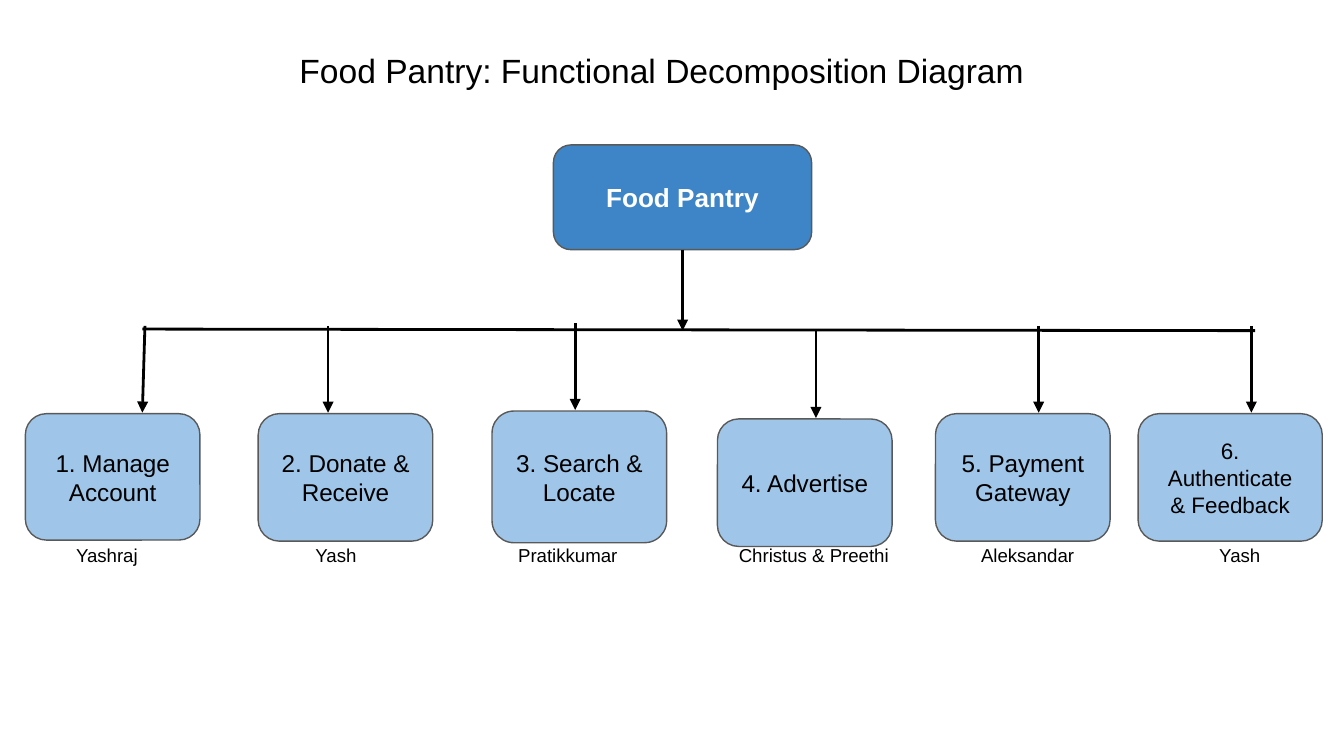
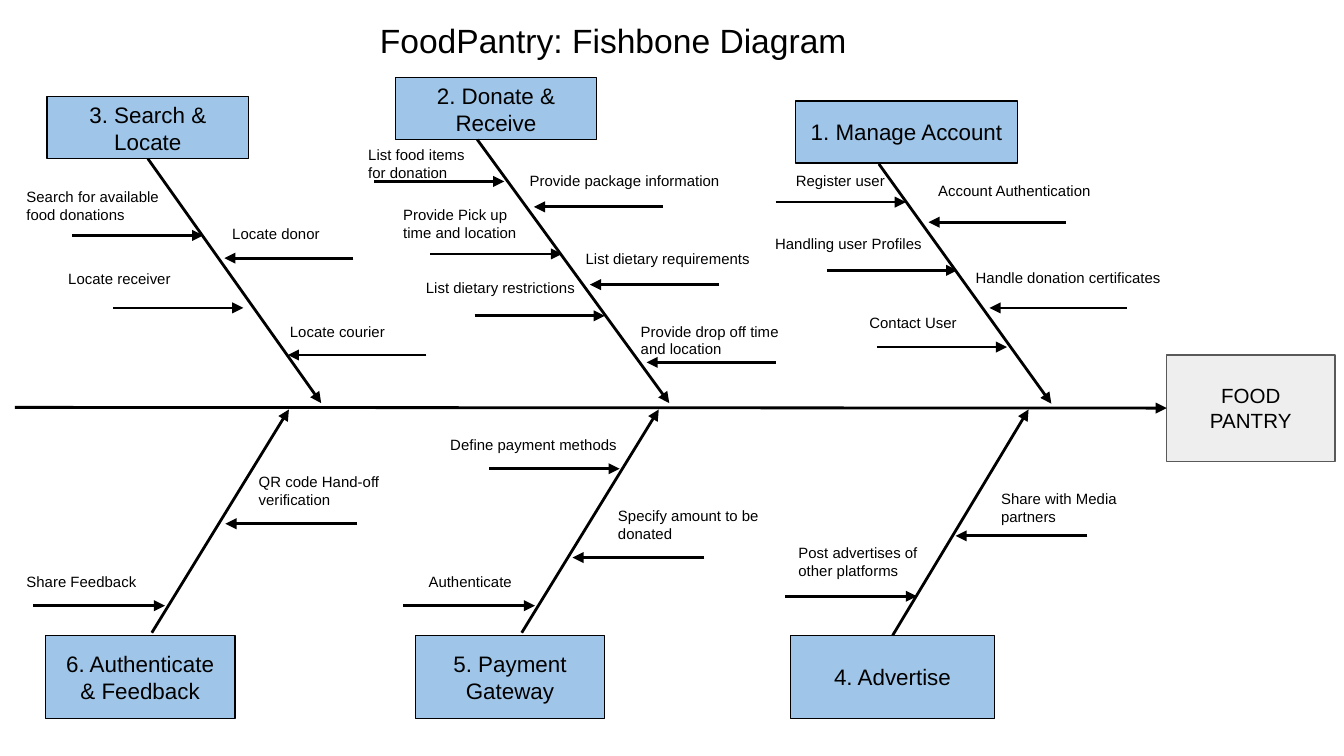
from lxml import etree
from pptx import Presentation
from pptx import util as u
from pptx.dml.color import RGBColor
from pptx.enum import shapes, text
from pptx.oxml import ns

COLORS = {
    "ink": "000000",
    "white": "FFFFFF",
    "root": "3D85C6",
    "function": "9FC5E8",
    "goal": "EEEEEE",
    "outline": "595959",
}
FONT = "Arial"
INSET = 0.25
OWNER_TOP = 10.06
CENTER = text.PP_ALIGN.CENTER
LEFT = text.PP_ALIGN.LEFT
RECTANGLE = shapes.MSO_SHAPE.RECTANGLE
ROUNDED = shapes.MSO_SHAPE.ROUNDED_RECTANGLE

# name, size, box, arrow start and end x in the box, owner, owner x in the box, owner width
FUNCTIONS = [
    ("1. Manage Account", 13, (0.48, 7.82, 3.3, 2.39), 2.26, 2.21, "Yashraj", -0.2, 3.48),
    ("2. Donate & Receive", 13, (4.88, 7.82, 3.3, 2.41), 1.32, 1.32, "Yash", -0.46, 3.86),
    ("3. Search & Locate", 13, (9.3, 7.77, 3.3, 2.49), 1.57, 1.57, "Pratikkumar", -0.31, 3.48),
    ("4. Advertise", 13, (13.56, 7.92, 3.3, 2.41), 1.86, 1.86, "Christus & Preethi", 0.08, 3.48),
    ("5. Payment Gateway", 13, (17.68, 7.82, 3.3, 2.41), 1.95, 1.95, "Aleksandar", 0, 3.48),
    ("6. Authenticate & Feedback", 12, (21.51, 7.82, 3.48, 2.41), 2.14, 2.14, "Yash", 0.18, 3.48),
]

# name, box, bone start (None joins the box), bone end, causes;
# a cause is its text, its text box, and its arrow tip with the signed distance to the tail
BRANCHES = [
    ("3. Search & Locate", (0.89, 1.83, 3.81, 1.17), None, (5.18, 5.79), [
        ("Search for available food donations", (-0.64, 1.47, 3.25, 1.19), (2.95, 2.62, -2.48)),
        ("Locate donor", (3.25, 2.24, 4.19, 0.86), (3.35, 3.05, 2.44)),
        ("Locate receiver", (0.15, 3.1, 4.19, 0.86), (3.71, 3.99, -2.46)),
        ("Locate courier", (4.34, 4.09, 4.19, 0.86), (4.55, 4.88, 2.62)),
    ]),
    ("2. Donate & Receive", (7.47, 1.47, 3.81, 1.17), (1.55, 1.17), (5.18, 6.15), [
        ("List food items for donation", (-0.76, 1.04, 2.72, 1.19), (2.06, 1.96, -2.46)),
        ("Provide package information", (2.29, 1.6, 4.19, 1.22), (2.62, 2.44, 2.44)),
        ("Provide Pick up time and location", (-0.1, 2.16, 2.72, 1.19), (3.15, 3.33, -2.49)),
        ("List dietary requirements", (3.35, 3.07, 4.19, 1.22), (3.68, 3.91, 2.44)),
        ("List dietary restrictions", (0.33, 3.63, 4.19, 1.19), (3.96, 4.5, -2.46)),
        ("Provide drop off time and location", (4.39, 4.37, 3.58, 1.22), (4.75, 5.38, 2.44)),
    ]),
    ("1. Manage Account", (15.04, 1.91, 4.19, 1.17), (1.57, 1.19), (4.83, 5.72), [
        ("Register user", (-0.25, 1.17, 3.38, 0.86), (2.08, 1.91, -2.46)),
        ("Account Authentication", (2.44, 1.35, 3.86, 0.86), (2.51, 2.29, 2.59)),
        ("Handling user Profiles", (-0.64, 2.36, 4.19, 0.86), (3.05, 3.2, -2.46)),
        ("Handle donation certificates", (3.15, 3, 5.59, 0.86), (3.66, 3.91, 2.59)),
        ("Contact User", (1.14, 3.84, 3.05, 0.86), (3.99, 4.65, -2.46)),
    ]),
    ("6. Authenticate & Feedback", (0.86, 12.01, 3.58, 1.57), (2.01, -0.05), (4.6, -4.27), [
        ("QR code Hand-off verification", (3.78, -3.33, 3.63, 1.22), (3.4, -2.11, 2.49)),
        ("Share Feedback", (-0.61, -1.35, 3.63, 1.22), (2.26, -0.56, -2.49)),
    ]),
    ("5. Payment Gateway", (7.85, 12.01, 3.58, 1.57), (2.01, -0.05), (4.6, -4.27), [
        ("Define payment methods", (0.41, -3.94, 4.19, 1.22), (3.86, -3.15, -2.46)),
        ("Specify amount to be donated", (3.58, -2.69, 3.25, 1.22), (2.97, -1.47, 2.49)),
        ("Authenticate", (0, -1.35, 3.25, 1.22), (2.26, -0.56, -2.49)),
    ]),
    ("4. Advertise", (14.94, 12.01, 3.86, 1.57), None, (4.5, -4.27), [
        ("Post advertises of other platforms", (-0.1, -1.98, 3.25, 1.22), (2.39, -0.74, -2.49)),
        ("Share with Media partners", (3.73, -3, 3.25, 1.22), (3.12, -1.88, 2.49)),
    ]),
]


def rgb(name):
    """Return the named colour."""
    return RGBColor.from_string(COLORS[name])


def set_all(target, values):
    """Set each attribute of the target from a dict."""
    for name, value in values.items():
        setattr(target, name, value)


def cm(values):
    """Turn numbers into lengths."""
    return [u.Cm(value) for value in values]


def write(shape, words, size, align, anchor, color="ink", bold=False, inset_y=INSET):
    """Put one formatted paragraph in a shape."""
    frame = shape.text_frame
    set_all(frame, {
        "word_wrap": True, "vertical_anchor": anchor,
        "margin_left": u.Cm(INSET), "margin_right": u.Cm(INSET),
        "margin_top": u.Cm(inset_y), "margin_bottom": u.Cm(inset_y),
    })
    paragraph = frame.paragraphs[0]
    paragraph.text = words
    paragraph.alignment = align
    set_all(paragraph.font, {"name": FONT, "size": u.Pt(size), "bold": bold})
    paragraph.font.color.rgb = rgb(color)


def add_title(slide, words, box):
    """Move and format the title placeholder."""
    title = slide.shapes.title
    set_all(title, dict(zip(("left", "top", "width", "height"), cm(box))))
    write(title, words, 18, LEFT, text.MSO_ANCHOR.TOP, inset_y=0.13)
    title.text_frame.auto_size = text.MSO_AUTO_SIZE.SHAPE_TO_FIT_TEXT


def add_box(slide, kind, box, words, size, fill, outline="outline", **style):
    """Add a filled box with centred text."""
    shape = slide.shapes.add_shape(kind, *cm(box))
    shape.shadow.inherit = False
    shape.fill.solid()
    shape.fill.fore_color.rgb = rgb(fill)
    shape.line.color.rgb = rgb(outline)
    shape.line.width = u.Pt(0.75)
    write(shape, words, size, CENTER, text.MSO_ANCHOR.MIDDLE, **style)
    return shape


def add_label(slide, box, words, size, align=LEFT):
    """Add plain text."""
    label = slide.shapes.add_textbox(*cm(box))
    write(label, words, size, align, text.MSO_ANCHOR.TOP)


def add_line(slide, start, end, arrow=True):
    """Add a black line, with an arrowhead at its end if wanted."""
    line = slide.shapes.add_connector(shapes.MSO_CONNECTOR.STRAIGHT, *cm(start + end))
    line.line.color.rgb = rgb("ink")
    line.line.width = u.Pt(1.5)
    properties = line._element.spPr
    if arrow:
        stroke = properties.find(ns.qn("a:ln"))
        etree.SubElement(stroke, ns.qn("a:tailEnd"), type="triangle")
    etree.SubElement(properties, ns.qn("a:effectLst"))
    return line


def add_function(slide, name, size, box, start_x, end_x, owner, owner_x, owner_width):
    """Add a function box with the arrow above it and its owner below."""
    left, top = box[:2]
    add_box(slide, ROUNDED, box, name, size, "function")
    add_line(slide, (left + start_x, top - 1.66), (left + end_x, top - 0.02))
    add_label(slide, (left + owner_x, OWNER_TOP, owner_width, 0.81), owner, 10, CENTER)


def add_branch(slide, name, box, start, end, causes):
    """Add a category box, its bone and the causes along it."""
    left, top = box[:2]

    def place(x, y):
        """Shift a point from the box to the slide."""
        return left + x, top + y

    category = add_box(slide, RECTANGLE, box, name, 12, "function", "ink")
    bone = add_line(slide, place(*(start or (0, 0))), place(*end))
    if start is None:
        bone.begin_connect(category, 2 if end[1] > 0 else 0)
    for words, (x, y, width, height), (tip_x, tip_y, length) in causes:
        add_line(slide, place(tip_x + length, tip_y), place(tip_x, tip_y))
        add_label(slide, place(x, y) + (width, height), words, 8)


def build_decomposition(slide):
    """Build the functional decomposition slide."""
    add_title(slide, "Food Pantry: Functional Decomposition Diagram", (5.41, 0.81, 14.33, 1.02))
    root = add_box(slide, ROUNDED, (10.46, 2.74, 4.88, 1.98), "Food Pantry", 14, "root",
                   color="white", bold=True)
    add_line(slide, (12.9, 4.72), (12.9, 6.25)).begin_connect(root, 2)
    add_line(slide, (2.69, 6.22), (23.72, 6.25), arrow=False)
    for function in FUNCTIONS:
        add_function(slide, *function)


def build_fishbone(slide):
    """Build the fishbone slide."""
    add_title(slide, "FoodPantry: Fishbone Diagram", (6.93, 0.25, 10.24, 1.02))
    goal = add_box(slide, RECTANGLE, (22.05, 6.71, 3.18, 2.01), "FOOD PANTRY", 11, "goal")
    add_line(slide, (0.28, 7.7), (22.05, 7.72)).end_connect(goal, 1)
    for branch in BRANCHES:
        add_branch(slide, *branch)


def main():
    """Build and save the presentation."""
    presentation = Presentation()
    set_all(presentation, {"slide_width": u.Cm(25.4), "slide_height": u.Cm(14.29)})
    for build in (build_decomposition, build_fishbone):
        build(presentation.slides.add_slide(presentation.slide_layouts[5]))
    presentation.save("out.pptx")


if __name__ == "__main__":
    main()
